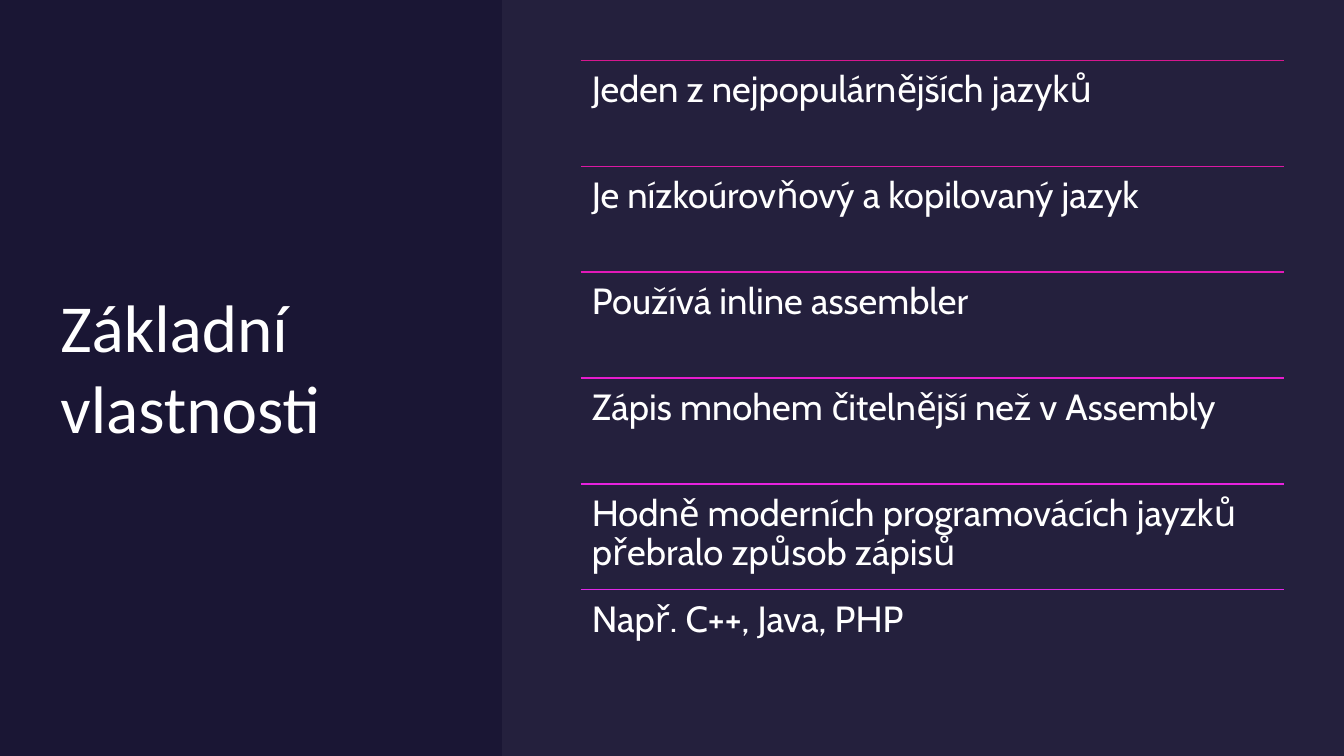
"""Build the slide listing the basic properties of a programming language."""
from lxml.etree import SubElement
from pptx import Presentation
from pptx.dml.color import RGBColor
from pptx.enum.shapes import MSO_CONNECTOR, MSO_SHAPE
from pptx.enum.text import MSO_ANCHOR
from pptx.oxml.ns import qn
from pptx.util import Inches, Pt

COLOURS = {"night": "1A1634", "lilac": "E3E0F2", "white": "FFFFFF"}
PROPERTIES = [
    ("Jeden z nejpopulárnějších jazyků", "D5178E"),
    ("Je nízkoúrovňový a kopilovaný jazyk", "DB18A3"),
    ("Používá inline assembler", "E219B8"),
    ("Zápis mnohem čitelnější než v Assembly", "E61CCD"),
    ("Hodně moderních programovácích jayzků přebralo způsob zápisů", "E622DE"),
    ("Např. C++, Java, PHP", "DF29E7"),
]
LIST_LEFT, LIST_TOP, LIST_WIDTH, ROW_HEIGHT = 5.76, 0.6, 6.97, 1.05


def add_panel(page, left, width, colour):
    panel = page.shapes.add_shape(
        MSO_SHAPE.RECTANGLE, Inches(left), 0, Inches(width), Inches(7.5))
    panel.shadow.inherit = False
    panel.fill.solid()
    panel.fill.fore_color.rgb = RGBColor.from_string(colour)
    panel.line.fill.background()
    return panel


def add_text(page, text, left, top, width, height, margin, font, size):
    box = page.shapes.add_textbox(
        Inches(left), Inches(top), Inches(width), Inches(height))
    frame = box.text_frame
    frame.word_wrap = True
    frame.margin_left = frame.margin_right = Inches(margin)
    frame.margin_top = frame.margin_bottom = Inches(margin)
    frame.text = text
    span = frame.paragraphs[0].runs[0]
    span.font.name = font
    span.font.size = Pt(size)
    span.font.color.rgb = RGBColor.from_string(COLOURS["white"])
    return frame


deck = Presentation()
deck.slide_width = Inches(13.33)
deck.slide_height = Inches(7.5)
page = deck.slides.add_slide(deck.slide_layouts[6])
page.background.fill.solid()
page.background.fill.fore_color.rgb = RGBColor.from_string(COLOURS["night"])

add_panel(page, 0, 13.33, COLOURS["night"])
title = add_text(page, "Základní vlastnosti", 0.6, 0.6, 3.9, 6.06, 0, "Calibri", 48)
title.vertical_anchor = MSO_ANCHOR.MIDDLE

veil = add_panel(page, 4.98, 8.35, COLOURS["lilac"])
veil_colour = veil.fill._xPr.find(qn("a:solidFill"))[0]
SubElement(veil_colour, qn("a:alpha"), val="5000")

for row, (text, colour) in enumerate(PROPERTIES):
    top = LIST_TOP + row * ROW_HEIGHT
    rule = page.shapes.add_connector(
        MSO_CONNECTOR.STRAIGHT, Inches(LIST_LEFT), Inches(top),
        Inches(LIST_LEFT + LIST_WIDTH), Inches(top))
    rule.line.color.rgb = RGBColor.from_string(colour)
    rule.line.width = Pt(1)
    SubElement(rule._element.spPr, qn("a:effectLst"))
    frame = add_text(page, text, LIST_LEFT, top, LIST_WIDTH, ROW_HEIGHT, 0.11, "Cabin", 26)
    frame.paragraphs[0].line_spacing = 0.9

deck.save("out.pptx")
